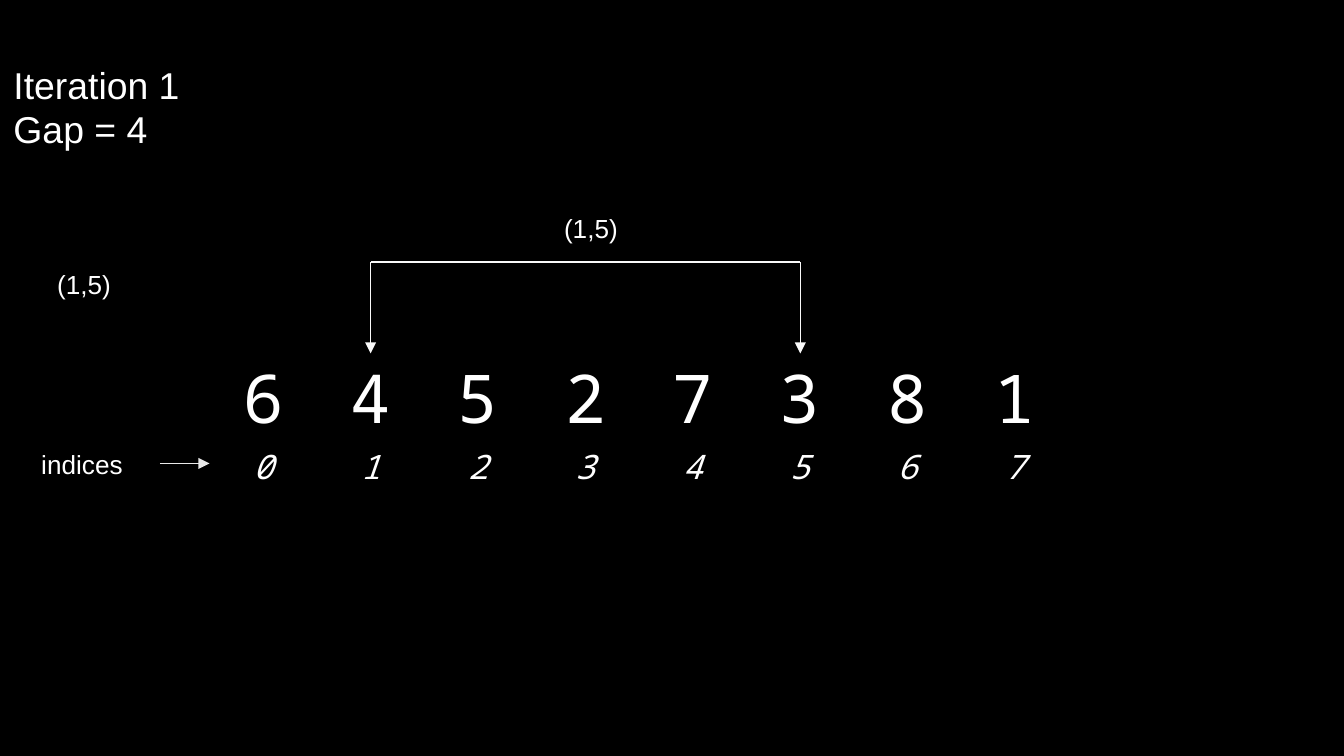
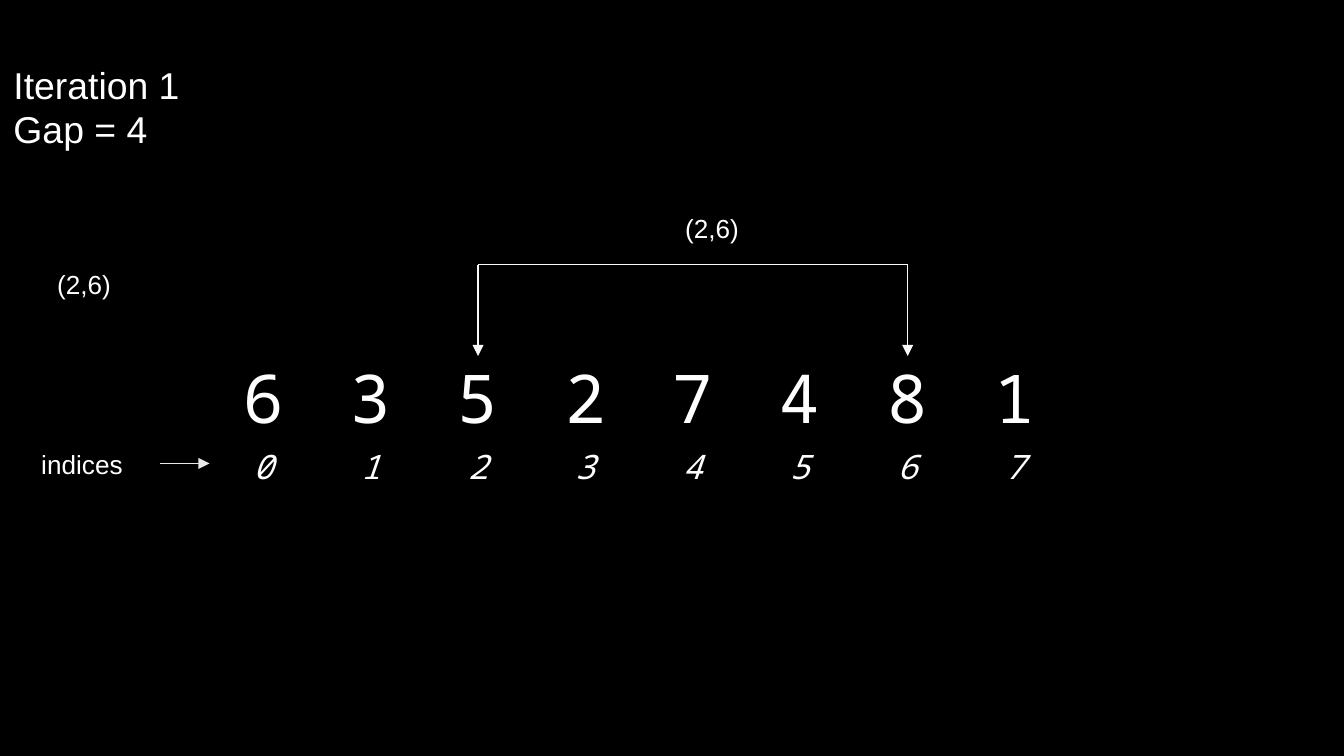
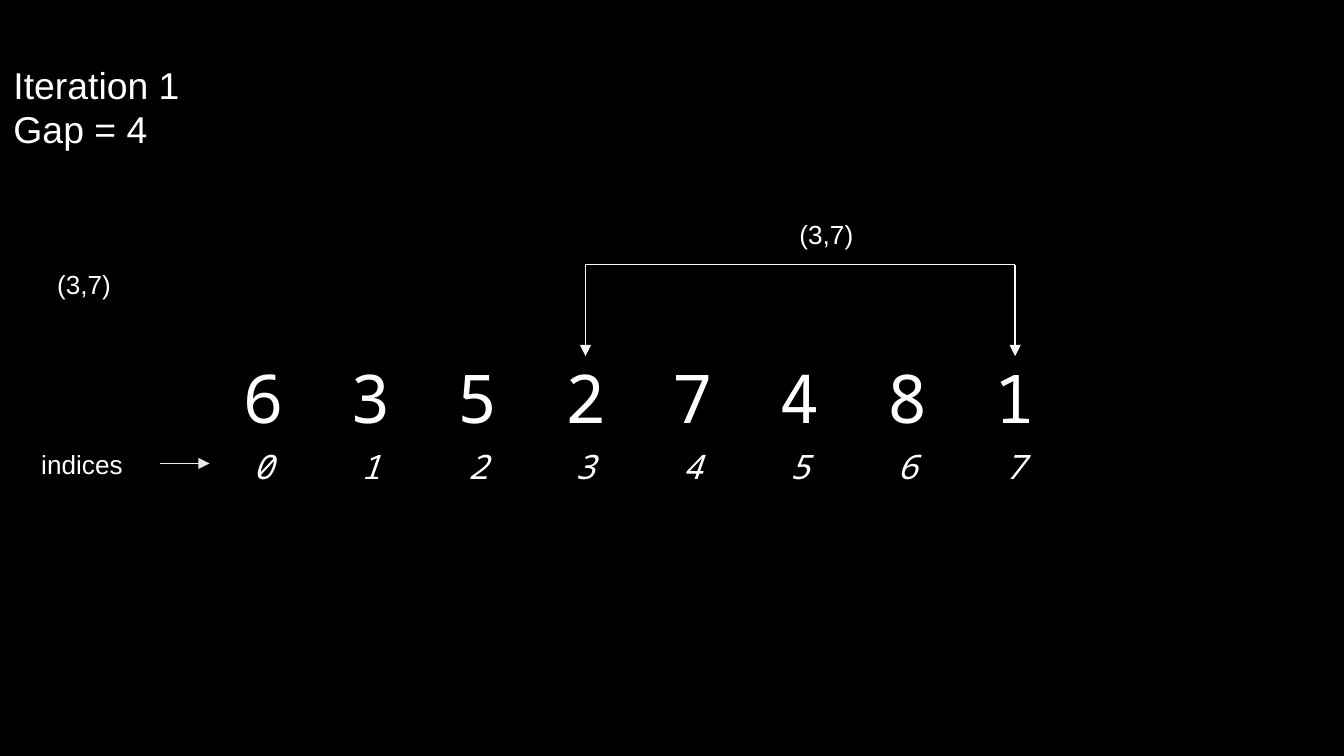
from lxml import etree
from pptx import Presentation
from pptx.dml.color import RGBColor
from pptx.enum.shapes import MSO_CONNECTOR
from pptx.enum.text import MSO_ANCHOR, MSO_AUTO_SIZE, PP_ALIGN
from pptx.oxml.ns import qn
from pptx.util import Cm, Pt

STRAIGHT = MSO_CONNECTOR.STRAIGHT
TOP, MIDDLE = MSO_ANCHOR.TOP, MSO_ANCHOR.MIDDLE
LEFT, CENTER = PP_ALIGN.LEFT, PP_ALIGN.CENTER
FIT_SHAPE = MSO_AUTO_SIZE.SHAPE_TO_FIT_TEXT

COLORS = {
    "background": "000000",
    "text": "FFFFFF",
    "bracket": "F9F9F9",
    "index_arrow": "E9E9E9",
}
TEXT_FONT = "Arial"
NUMBER_FONT = "Noto Sans Mono"

TITLE = "Iteration 1\nGap = 4"
GAP = 4
STEPS = [
    {"values": [6, 4, 5, 2, 7, 3, 8, 1], "first": 1, "bracket_top": 4.95, "label": (10.41, 3.89)},
    {"values": [6, 3, 5, 2, 7, 4, 8, 1], "first": 2, "bracket_top": 5.0, "label": (12.7, 3.89)},
    {"values": [6, 3, 5, 2, 7, 4, 8, 1], "first": 3, "bracket_top": 5.0, "label": (14.86, 4.01)},
]

ARRAY_LEFT = 3.96
COLUMN_WIDTH = 2.03
VALUES_TOP, VALUES_HEIGHT = 6.4, 2.03
INDICES_TOP, INDICES_HEIGHT = 8.13, 1.04
BRACKET_HEIGHT = 1.73
PAIR_WIDTH = 1.9
LABEL_HEIGHT = 0.86
INDEX_ARROW_LEFT, INDEX_ARROW_Y = 3.02, 8.76


def format_text(text_frame, size, font_name=TEXT_FONT, italic=False, alignment=LEFT):
    for paragraph in text_frame.paragraphs:
        paragraph.alignment = alignment
        for run in paragraph.runs:
            run.font.name = font_name
            run.font.size = Pt(size)
            run.font.italic = italic
            run.font.color.rgb = RGBColor.from_string(COLORS["text"])


def add_title(slide):
    title = slide.shapes.title
    title.left, title.top, title.width, title.height = Cm(0), Cm(1.04), Cm(5.1), Cm(1.96)
    text_frame = title.text_frame
    text_frame.text = TITLE
    text_frame.word_wrap = True
    text_frame.auto_size = FIT_SHAPE
    text_frame.vertical_anchor = TOP
    format_text(text_frame, 20)


def add_label(slide, text, left, top, width):
    box = slide.shapes.add_textbox(Cm(left), Cm(top), Cm(width), Cm(LABEL_HEIGHT))
    text_frame = box.text_frame
    text_frame.text = text
    text_frame.word_wrap = True
    text_frame.auto_size = FIT_SHAPE
    format_text(text_frame, 14)


def add_line(slide, start, end, color, arrow=False):
    points = [Cm(length) for length in (*start, *end)]
    connector = slide.shapes.add_connector(STRAIGHT, *points)
    connector.line.color.rgb = RGBColor.from_string(COLORS[color])
    connector.line.width = Pt(0.75)
    properties = connector._element.spPr
    if arrow:
        outline = properties.find(qn("a:ln"))
        etree.SubElement(outline, qn("a:tailEnd"), type="triangle")
    etree.SubElement(properties, qn("a:effectLst"))


def add_number_row(slide, numbers, top, height, size, italic=False):
    frame = slide.shapes.add_table(
        1, len(numbers), Cm(ARRAY_LEFT), Cm(top), Cm(COLUMN_WIDTH * len(numbers)), Cm(height)
    )
    table = frame.table
    table.first_row = False
    table.horz_banding = False
    for column, number in enumerate(numbers):
        table.columns[column].width = Cm(COLUMN_WIDTH)
        cell = table.cell(0, column)
        cell.text = str(number)
        cell.vertical_anchor = MIDDLE
        cell.margin_left = cell.margin_right = Cm(0.25)
        cell.margin_top = cell.margin_bottom = Cm(0.25)
        cell_properties = cell._tc.get_or_add_tcPr()
        for side in ("a:lnL", "a:lnR", "a:lnT", "a:lnB"):
            border = etree.SubElement(cell_properties, qn(side))
            etree.SubElement(border, qn("a:noFill"))
        cell.fill.background()
        format_text(cell.text_frame, size, NUMBER_FONT, italic, CENTER)


def column_center(index):
    return ARRAY_LEFT + COLUMN_WIDTH * (index + 0.5)


def add_bracket(slide, first, last, top):
    centers = [column_center(index) for index in (first, last)]
    for center in centers:
        add_line(slide, (center, top), (center, top + BRACKET_HEIGHT), "bracket", arrow=True)
    add_line(slide, (centers[0], top), (centers[1], top), "bracket")


def add_step(presentation, step):
    slide = presentation.slides.add_slide(presentation.slide_layouts.get_by_name("Title Only"))
    values = step["values"]
    first, last = step["first"], step["first"] + GAP
    pair = f"({first},{last})"
    add_title(slide)
    add_number_row(slide, values, VALUES_TOP, VALUES_HEIGHT, 36)
    add_number_row(slide, range(len(values)), INDICES_TOP, INDICES_HEIGHT, 18, italic=True)
    add_label(slide, "indices", 0.53, 8.36, 2.49)
    add_line(
        slide, (INDEX_ARROW_LEFT, INDEX_ARROW_Y), (ARRAY_LEFT, INDEX_ARROW_Y), "index_arrow", arrow=True
    )
    add_label(slide, pair, 0.83, 4.95, PAIR_WIDTH)
    add_bracket(slide, first, last, step["bracket_top"])
    add_label(slide, pair, *step["label"], PAIR_WIDTH)


def main():
    presentation = Presentation()
    presentation.slide_width = Cm(25.4)
    presentation.slide_height = Cm(14.29)
    background = presentation.slide_master.background.fill
    background.solid()
    background.fore_color.rgb = RGBColor.from_string(COLORS["background"])
    for step in STEPS:
        add_step(presentation, step)
    presentation.save("out.pptx")


if __name__ == "__main__":
    main()
